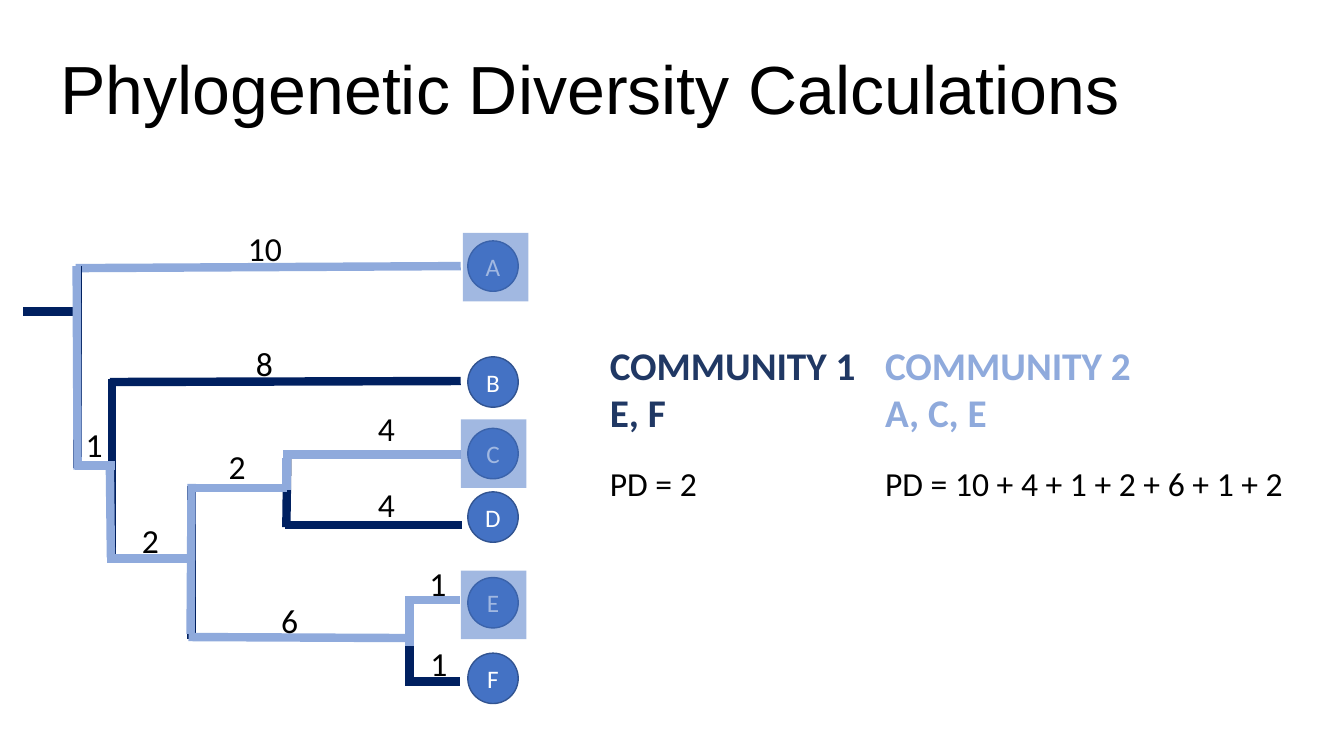
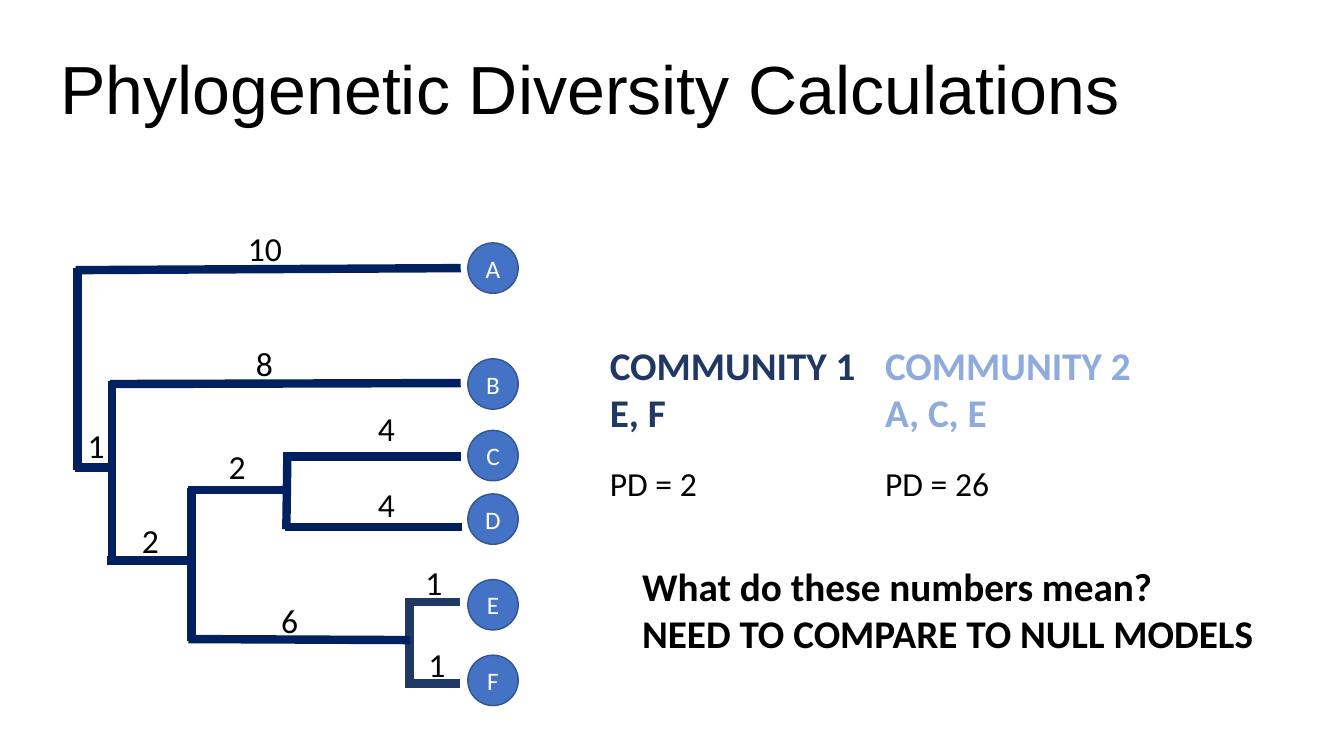
from lxml import etree
from pptx import Presentation
from pptx import util as u
from pptx.dml.color import RGBColor
from pptx.enum import shapes, text
from pptx.oxml.ns import qn

COLORS = {
    "black": "000000",
    "white": "FFFFFF",
    "navy": "002060",
    "slate": "203864",
    "light": "8FAADC",
    "blue": "4472C4",
    "outline": "325491",
}
TITLE = "Phylogenetic Diversity Calculations"

BRANCHES = {
    "upper stem": (1.11, 3.76, 1.11, 5.57),
    "A": (0.75, 2.66, 4.57, 2.64),
    "B to F": (0.74, 4.62, 1.14, 4.62),
    "CD split": (2.85, 4.5, 2.84, 5.23),
    "B": (1.09, 3.79, 4.57, 3.78),
    "C to F": (1.06, 5.54, 1.9, 5.54),
    "lower stem": (1.9, 4.82, 1.9, 6.34),
    "base": (0.77, 4.64, 0.77, 2.64),
    "C": (2.81, 4.51, 4.57, 4.51),
    "CD": (1.86, 4.84, 2.85, 4.84),
    "D": (2.83, 5.21, 4.58, 5.21),
    "EF split": (4.06, 5.94, 4.06, 6.76),
    "EF": (1.87, 6.32, 4.07, 6.33),
    "E": (4.02, 5.95, 4.56, 5.95),
    "F": (4.02, 6.76, 4.56, 6.76),
}
LEAVES = {"A": 2.39, "B": 3.54, "C": 4.25, "D": 4.88, "E": 5.73, "F": 6.48}
LENGTHS = {
    "A": ("10", 2.36, 2.21),
    "B": ("8", 2.44, 3.35),
    "C": ("4", 3.65, 4),
    "D": ("4", 3.65, 4.75),
    "E": ("1", 4.16, 5.54),
    "F": ("1", 4.17, 6.33),
    "EF": ("6", 2.69, 5.9),
    "C to F": ("2", 1.31, 5.11),
    "B to F": ("1", 0.75, 4.16),
    "CD": ("2", 2.17, 4.37),
}
COMMUNITY_2_BRANCHES = ("A", "B to F", "C to F", "C", "CD", "EF", "E")
COMMUNITY_2_STEMS = [
    (0.76, 2.64, 0.77, 4.66),
    (1.09, 4.64, 1.1, 5.53),
    (1.9, 4.8, 1.89, 6.29),
    (2.84, 4.54, 2.84, 4.86),
    (4.06, 5.94, 4.06, 6.41),
]
COMMUNITY_2_MARKS = [(4.59, 2.31), (4.57, 4.16), (4.57, 5.66)]


def rgb(name):
    return RGBColor.from_string(COLORS[name])


def write(frame, lines, size=24, color="black", bold=False, font="Calibri",
          align=text.PP_ALIGN.LEFT, anchor=text.MSO_ANCHOR.TOP, spacing=None, wrap=True):
    frame.word_wrap = wrap
    frame.auto_size = text.MSO_AUTO_SIZE.NONE
    frame.vertical_anchor = anchor
    for index, line in enumerate(lines):
        paragraph = frame.add_paragraph() if index else frame.paragraphs[0]
        paragraph.alignment = align
        if spacing:
            paragraph.line_spacing = spacing
        run = paragraph.add_run()
        run.text = line
        run.font.name = font
        run.font.size = u.Pt(size)
        run.font.bold = bold
        run.font.color.rgb = rgb(color)


class Deck:
    def __init__(self):
        self.presentation = Presentation()
        self.presentation.slide_width = u.Inches(13.33)
        self.presentation.slide_height = u.Inches(7.5)
        self.slide = None

    def new_slide(self, title):
        self.slide = self.presentation.slides.add_slide(self.presentation.slide_layouts[5])
        heading = self.slide.shapes.title
        heading.left, heading.top = u.Inches(0.5), u.Inches(0.19)
        heading.width, heading.height = u.Inches(11.5), u.Inches(1.45)
        write(heading.text_frame, [title], size=48.6, font="Arial",
              anchor=text.MSO_ANCHOR.MIDDLE, spacing=0.9)

    def label(self, lines, left, top, width, height=0.5, **style):
        box = self.slide.shapes.add_textbox(*map(u.Inches, (left, top, width, height)))
        write(box.text_frame, lines, **style)

    def branch(self, ends, color="navy", drop=0):
        x1, y1, x2, y2 = ends
        line = self.slide.shapes.add_connector(
            shapes.MSO_CONNECTOR.STRAIGHT,
            *map(u.Inches, (x1, y1 + drop, x2, y2 + drop)))
        line.line.color.rgb = rgb(color)
        line.line.width = u.Pt(6)
        etree.SubElement(line._element.spPr, qn("a:effectLst"))

    def block(self, kind, left, top, width, height):
        block = self.slide.shapes.add_shape(kind, *map(u.Inches, (left, top, width, height)))
        block.shadow.inherit = False
        block.fill.solid()
        block.fill.fore_color.rgb = rgb("blue")
        return block

    def leaf(self, name, top):
        leaf = self.block(shapes.MSO_SHAPE.OVAL, 4.64, top, 0.5, 0.5)
        leaf.line.color.rgb = rgb("outline")
        leaf.line.width = u.Pt(1)
        write(leaf.text_frame, [name], size=18, color="white",
              align=text.PP_ALIGN.CENTER, anchor=text.MSO_ANCHOR.MIDDLE)

    def mark(self, left, top):
        mark = self.block(shapes.MSO_SHAPE.RECTANGLE, left, top, 0.65, 0.68)
        mark.line.fill.background()
        shade = mark._element.spPr.find(qn("a:solidFill"))[0]
        etree.SubElement(shade, qn("a:alpha"), val="50000")

    def tree(self, colors, drop=0):
        for name, ends in BRANCHES.items():
            self.branch(ends, colors.get(name, "navy"), drop)
        for name, top in LEAVES.items():
            self.leaf(name, top + drop)

    def lengths(self, moved=None):
        for length, left, top in {**LENGTHS, **(moved or {})}.values():
            width = 0.54 if len(length) > 1 else 0.37
            self.label([length], left, top, width, wrap=False)

    def community(self, number, members, diversity, left, color):
        self.label([f"COMMUNITY {number}", members], left, 3.34, 2.91, 1.04,
                   size=28, color=color, bold=True)
        self.label([diversity], left, 4.54, 4.47)

    def communities(self, second_diversity):
        self.community(1, "E, F", "PD = 2", 5.95, "slate")
        self.community(2, "A, C, E", second_diversity, 8.68, "light")


def main():
    deck = Deck()

    deck.new_slide(TITLE)
    deck.tree(dict.fromkeys(COMMUNITY_2_BRANCHES, "light"))
    deck.branch((0.23, 3.09, 0.77, 3.09))
    for stem in COMMUNITY_2_STEMS:
        deck.branch(stem, "light")
    deck.lengths()
    for corner in COMMUNITY_2_MARKS:
        deck.mark(*corner)
    deck.communities("PD = 10 + 4 + 1 + 2 + 6 + 1 + 2")

    deck.new_slide(TITLE)
    deck.communities("PD = 26")
    deck.tree(dict.fromkeys(("EF split", "E", "F"), "slate"), drop=0.02)
    deck.lengths({"E": ("1", 4.12, 5.53), "F": ("1", 4.15, 6.34), "B to F": ("1", 0.77, 4.17)})
    deck.label(["What do these numbers mean?", "NEED TO COMPARE TO NULL MODELS"],
               6.27, 5.53, 6.99, 1.04, size=28, bold=True)

    deck.presentation.save("out.pptx")


if __name__ == "__main__":
    main()
